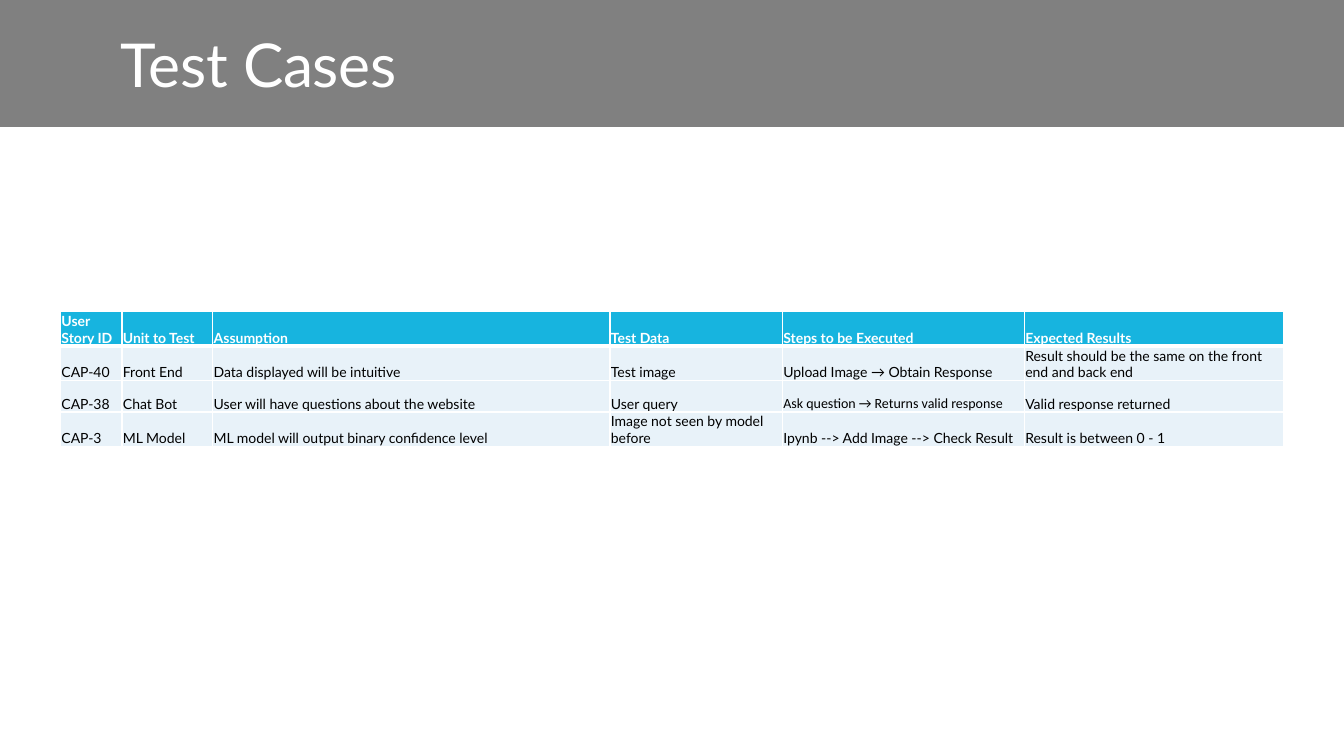
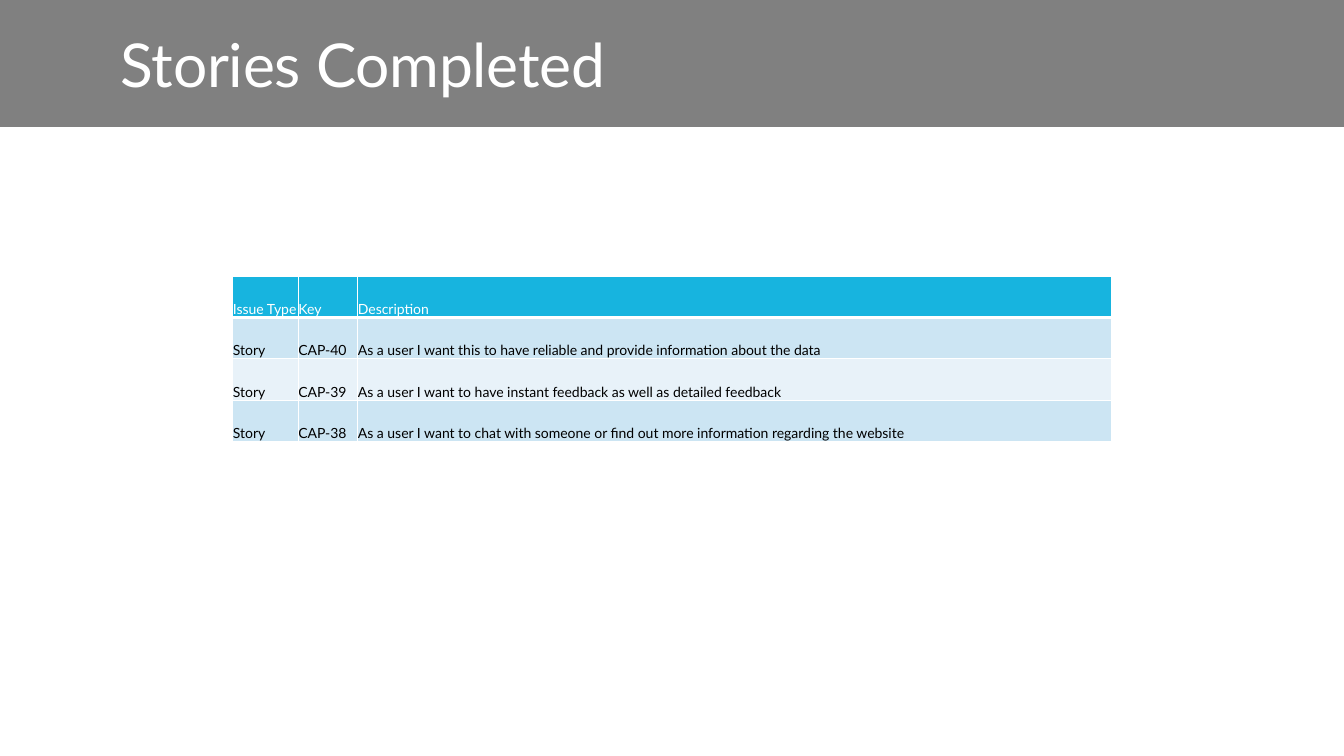
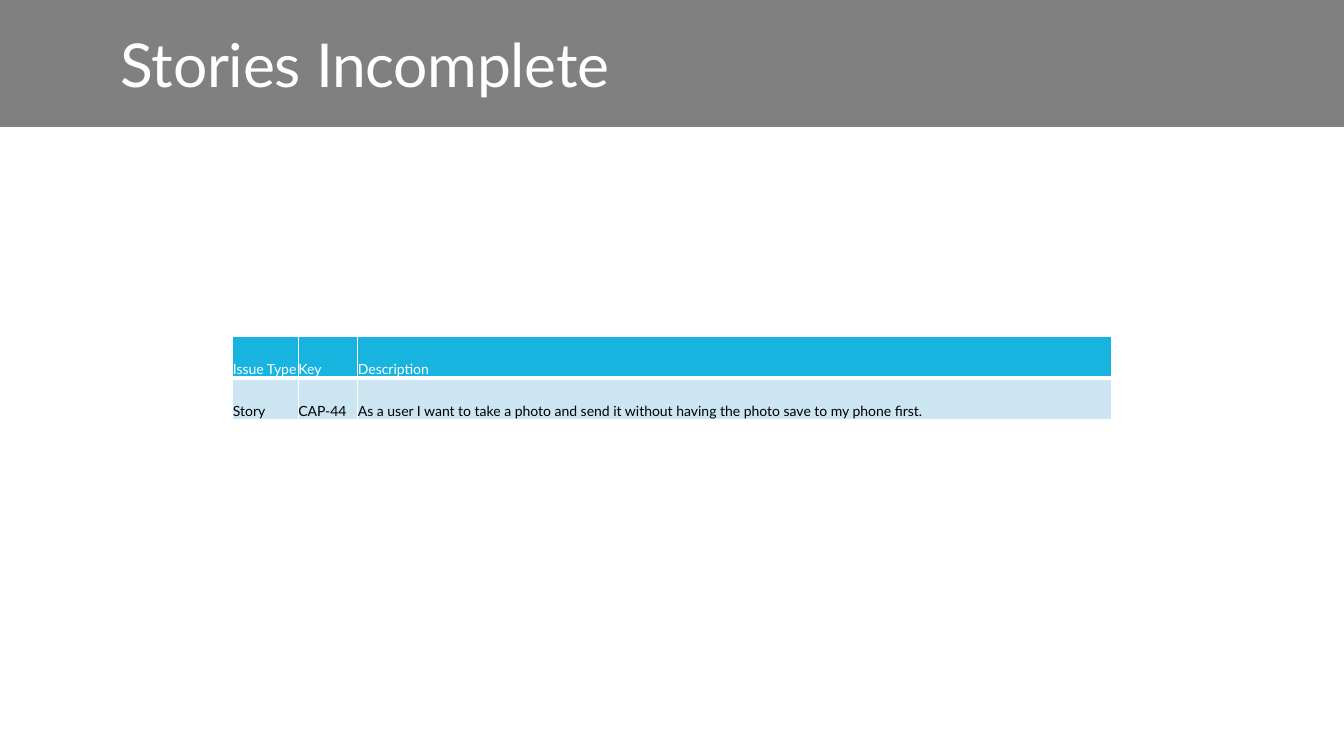
from lxml.etree import SubElement
from pptx import Presentation
from pptx.dml.color import RGBColor
from pptx.enum.shapes import MSO_SHAPE as Shape
from pptx.enum.text import MSO_ANCHOR as Anchor
from pptx.oxml.ns import qn
from pptx.util import Inches, Pt

# Shared look
WIDTH, HEIGHT = 13.33, 7.5
FONT, ALTERNATE_FONT = "Lato", "Calibri"
WHITE, BLACK, BAND_GRAY = "FFFFFF", "000000", "808080"
HEADER_BLUE, MID_BLUE, PALE_BLUE = "17B4DF", "CCE5F3", "E8F2F9"
TITLE_SIZE, CELL_SIZE = 43.2, 10
THIN, THICK = 1, 3

# Content
STORY_HEADER = ("Issue Type", "Key", "Description")
STORY_TABLE = {
    "left": 2.31,
    "columns": (0.65, 0.59, 7.48),
    "insets": (0, 0, 0, 0),
    "stripes": (MID_BLUE, PALE_BLUE),
    "bold_header": False,
}
SLIDES = [
    {
        "title": "Test Cases",
        "left": 0.6,
        "top": 3.09,
        "columns": (0.61, 0.9, 3.94, 1.71, 2.4, 2.57),
        "heights": (0.34, 0.34, 0.31, 0.34),
        "insets": (0.01, 0.01, 0.01, 0),
        "stripes": (PALE_BLUE,),
        "bold_header": True,
        "alternate_cells": {(2, 4)},
        "rows": [
            ("User Story ID", "Unit to Test", "Assumption", "Test Data",
             "Steps to be Executed", "Expected Results"),
            ("CAP-40", "Front End", "Data displayed will be intuitive", "Test image",
             "Upload Image → Obtain Response",
             "Result should be the same on the front end and back end"),
            ("CAP-38", "Chat Bot", "User will have questions about the website",
             "User query", "Ask question → Returns valid response",
             "Valid response returned"),
            ("CAP-3", "ML Model", "ML model will output binary confidence level",
             "Image not seen by model before", "Ipynb --> Add Image --> Check Result",
             "Result is between 0 - 1"),
        ],
    },
    {
        **STORY_TABLE,
        "title": "Stories Completed",
        "top": 2.74,
        "heights": (0.41,) * 4,
        "rows": [
            STORY_HEADER,
            ("Story", "CAP-40", "As a user I want this to have reliable and provide "
             "information about the data"),
            ("Story", "CAP-39", "As a user I want to have instant feedback as well as "
             "detailed feedback"),
            ("Story", "CAP-38", "As a user I want to chat with someone or find out more "
             "information regarding the website"),
        ],
    },
    {
        **STORY_TABLE,
        "title": "Stories Incomplete",
        "top": 3.34,
        "heights": (0.41,) * 2,
        "rows": [
            STORY_HEADER,
            ("Story", "CAP-44", "As a user I want to take a photo and send it without "
             "having the photo save to my phone first."),
        ],
    },
]


def color(value):
    return RGBColor.from_string(value)


def fill(target, value):
    target.fill.solid()
    target.fill.fore_color.rgb = color(value)


def add_span(para, text, ink, **formats):
    span = para.add_run()
    span.text = text
    for name, value in formats.items():
        setattr(span.font, name, value)
    span.font.color.rgb = color(ink)
    return span


def add_title(page, text):
    """Gray band across the top with the slide title on it."""
    band = page.shapes.add_shape(Shape.RECTANGLE, 0, 0, Inches(WIDTH), Inches(1.26))
    band.shadow.inherit = False
    fill(band, BAND_GRAY)
    band.line.fill.background()
    box = page.shapes.add_textbox(Inches(1.1), Inches(0.21), Inches(10.3), Inches(0.84))
    frame = box.text_frame
    frame.word_wrap = True
    frame.vertical_anchor = Anchor.MIDDLE
    span = add_span(frame.paragraphs[0], text, WHITE, name=FONT, size=Pt(TITLE_SIZE))
    span.font._element.set("spc", "-20")


def add_borders(cell, row):
    """White rules, thick between the header and the first body row."""
    widths = {"L": THIN, "R": THIN,
              "T": THICK if row == 1 else THIN,
              "B": THICK if row == 0 else THIN}
    properties = cell._tc.get_or_add_tcPr()
    for side, width in widths.items():
        line = SubElement(properties, qn(f"a:ln{side}"), w=str(Pt(width)))
        solid = SubElement(line, qn("a:solidFill"))
        SubElement(solid, qn("a:srgbClr"), val=WHITE)


def add_grid(page, data):
    rows, columns, heights = data["rows"], data["columns"], data["heights"]
    table = page.shapes.add_table(
        len(rows), len(columns), Inches(data["left"]), Inches(data["top"]),
        Inches(sum(columns)), Inches(sum(heights))).table
    for column, width in zip(table.columns, columns):
        column.width = Inches(width)
    for line, height in zip(table.rows, heights):
        line.height = Inches(height)

    stripes = data["stripes"]
    sides = ("margin_left", "margin_top", "margin_right", "margin_bottom")
    for row, texts in enumerate(rows):
        is_header = row == 0
        shade = HEADER_BLUE if is_header else stripes[(row - 1) % len(stripes)]
        for column, text in enumerate(texts):
            cell = table.cell(row, column)
            for side, inset in zip(sides, data["insets"]):
                setattr(cell, side, Inches(inset))
            cell.vertical_anchor = Anchor.BOTTOM
            add_borders(cell, row)
            fill(cell, shade)
            alternate = (row, column) in data.get("alternate_cells", ())
            add_span(cell.text_frame.paragraphs[0], text,
                     WHITE if is_header else BLACK,
                     name=ALTERNATE_FONT if alternate else FONT,
                     size=Pt(CELL_SIZE),
                     bold=is_header and data["bold_header"])


def main():
    deck = Presentation()
    deck.slide_width, deck.slide_height = Inches(WIDTH), Inches(HEIGHT)
    for data in SLIDES:
        page = deck.slides.add_slide(deck.slide_layouts[6])
        add_title(page, data["title"])
        add_grid(page, data)
    deck.save("out.pptx")


if __name__ == "__main__":
    main()
